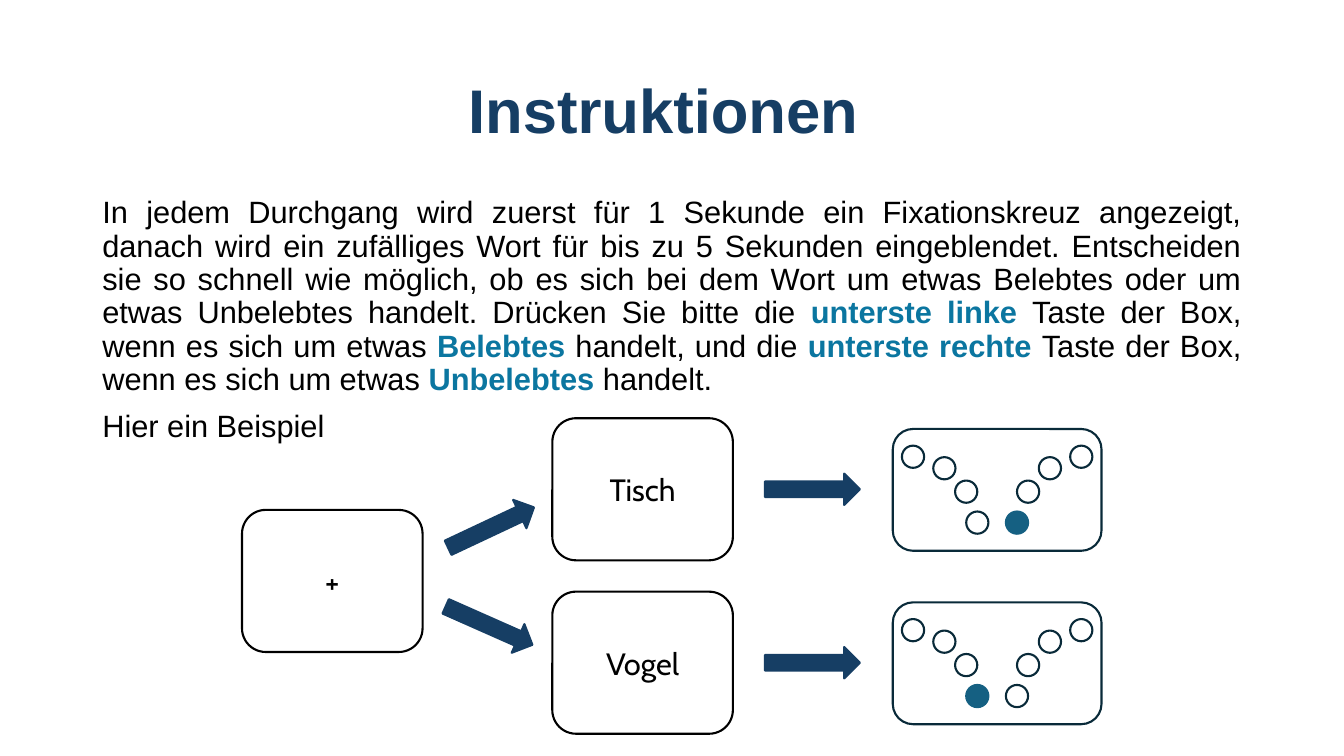
from pptx import Presentation
from pptx.dml.color import RGBColor
from pptx.enum.shapes import MSO_SHAPE as Shape
from pptx.enum.text import MSO_ANCHOR as Anchor, PP_ALIGN as Align
from pptx.util import Cm, Pt

COLORS = {
    "title": "163E64",
    "text": "000000",
    "accent": "0B76A0",
    "screen": "000000",
    "arrow": "163E64",
    "panel": "092A39",
    "pressed": "156082",
}

INSTRUCTIONS = [
    [
        ("In jedem Durchgang wird zuerst für 1 Sekunde ein Fixationskreuz angezeigt, "
         "danach wird ein zufälliges Wort für bis zu 5 Sekunden eingeblendet. "
         "Entscheiden sie so schnell wie möglich, ob es sich bei dem Wort um etwas "
         "Belebtes oder um etwas Unbelebtes handelt. Drücken Sie bitte die ", False),
        ("unterste linke ", True),
        ("Taste der Box, wenn es sich um etwas ", False),
        ("Belebtes", True),
        (" handelt, und die ", False),
        ("unterste rechte ", True),
        ("Taste der Box, wenn es sich um etwas ", False),
        ("Unbelebtes", True),
        (" handelt.", False),
    ],
    [("Hier ein Beispiel", False)],
]

# Word on the screen and side of the key to press
TRIALS = [("Tisch", "right"), ("Vogel", "left")]
TRIAL_TOP, TRIAL_STEP = 10.54, 4.37

SCREEN_WIDTH, SCREEN_HEIGHT = 4.55, 3.58
ARROW_WIDTH, ARROW_HEIGHT = 2.39, 0.79
PANEL_WIDTH, PANEL_HEIGHT = 5.26, 3.07
KEY_SIZE = 0.56
# Left-hand keys from the panel's top left corner, the lowest last
KEY_OFFSETS = [(0.23, 0.42), (1.02, 0.71), (1.57, 1.3), (1.85, 2.08)]


def color(name):
    return RGBColor.from_string(COLORS[name])


def style_font(font, name, size, color_name, bold=False):
    font.name = name
    font.size = Pt(size)
    font.bold = bold
    font.color.rgb = color(color_name)


def add_text(page, left, top, width, height, paragraphs, size, base, align, anchor):
    """Add a text box; each paragraph is a list of (words, emphasised) spans."""
    box = page.shapes.add_textbox(Cm(left), Cm(top), Cm(width), Cm(height))
    frame = box.text_frame
    frame.word_wrap = True
    frame.vertical_anchor = anchor
    for index, spans in enumerate(paragraphs):
        paragraph = frame.add_paragraph() if index else frame.paragraphs[0]
        paragraph.alignment = align
        paragraph.line_spacing = 0.9
        paragraph.space_before = Pt(10 if index else 0)
        for words, emphasised in spans:
            span = paragraph.add_run()
            span.text = words
            style_font(span.font, "Arial", size, "accent" if emphasised else base,
                       emphasised or base == "title")


def add_figure(page, kind, left, top, width, height, line, fill=None):
    figure = page.shapes.add_shape(kind, Cm(left), Cm(top), Cm(width), Cm(height))
    figure.shadow.inherit = False
    figure.line.color.rgb = color(line)
    figure.line.width = Pt(1.5)
    if fill:
        figure.fill.solid()
        figure.fill.fore_color.rgb = color(fill)
    else:
        figure.fill.background()
    return figure


def add_screen(page, left, top, word):
    screen = add_figure(page, Shape.ROUNDED_RECTANGLE, left, top,
                        SCREEN_WIDTH, SCREEN_HEIGHT, "screen")
    frame = screen.text_frame
    frame.text = word
    frame.vertical_anchor = Anchor.MIDDLE
    paragraph = frame.paragraphs[0]
    paragraph.alignment = Align.CENTER
    style_font(paragraph.runs[0].font, "Cabin", 22, "text")


def add_arrow(page, left, top, rotation=0):
    arrow = add_figure(page, Shape.RIGHT_ARROW, left, top,
                       ARROW_WIDTH, ARROW_HEIGHT, "arrow", "arrow")
    arrow.rotation = rotation


def add_key_panel(page, left, top, pressed_side):
    """Add the response box, its lowest key on pressed_side filled."""
    add_figure(page, Shape.ROUNDED_RECTANGLE, left, top,
               PANEL_WIDTH, PANEL_HEIGHT, "panel")
    for side in ("left", "right"):
        for x, y in KEY_OFFSETS:
            pressed = side == pressed_side and (x, y) == KEY_OFFSETS[-1]
            key_x = x if side == "left" else PANEL_WIDTH - x - KEY_SIZE
            add_figure(page, Shape.OVAL, left + key_x, top + y, KEY_SIZE, KEY_SIZE,
                       "pressed" if pressed else "panel",
                       "pressed" if pressed else None)


def main():
    deck = Presentation()
    deck.slide_width, deck.slide_height = Cm(33.87), Cm(19.05)
    page = deck.slides.add_slide(deck.slide_layouts[6])

    add_text(page, 2.33, 1.01, 29.21, 3.68, [[("Instruktionen ", False)]],
             44, "title", Align.CENTER, Anchor.MIDDLE)
    add_text(page, 2.33, 4.85, 29.21, 12.09, INSTRUCTIONS,
             22, "text", Align.JUSTIFY, Anchor.TOP)

    add_screen(page, 6.1, 12.85, "+")
    add_arrow(page, 11.18, 12.9, 334.8)
    add_arrow(page, 11.13, 15.37, 23.9)
    for row, (word, pressed_side) in enumerate(TRIALS):
        top = TRIAL_TOP + row * TRIAL_STEP
        add_screen(page, 13.92, top, word)
        add_arrow(page, 19.28, top + (SCREEN_HEIGHT - ARROW_HEIGHT) / 2)
        add_key_panel(page, 22.5, top + 0.27, pressed_side)

    deck.save("out.pptx")


if __name__ == "__main__":
    main()
